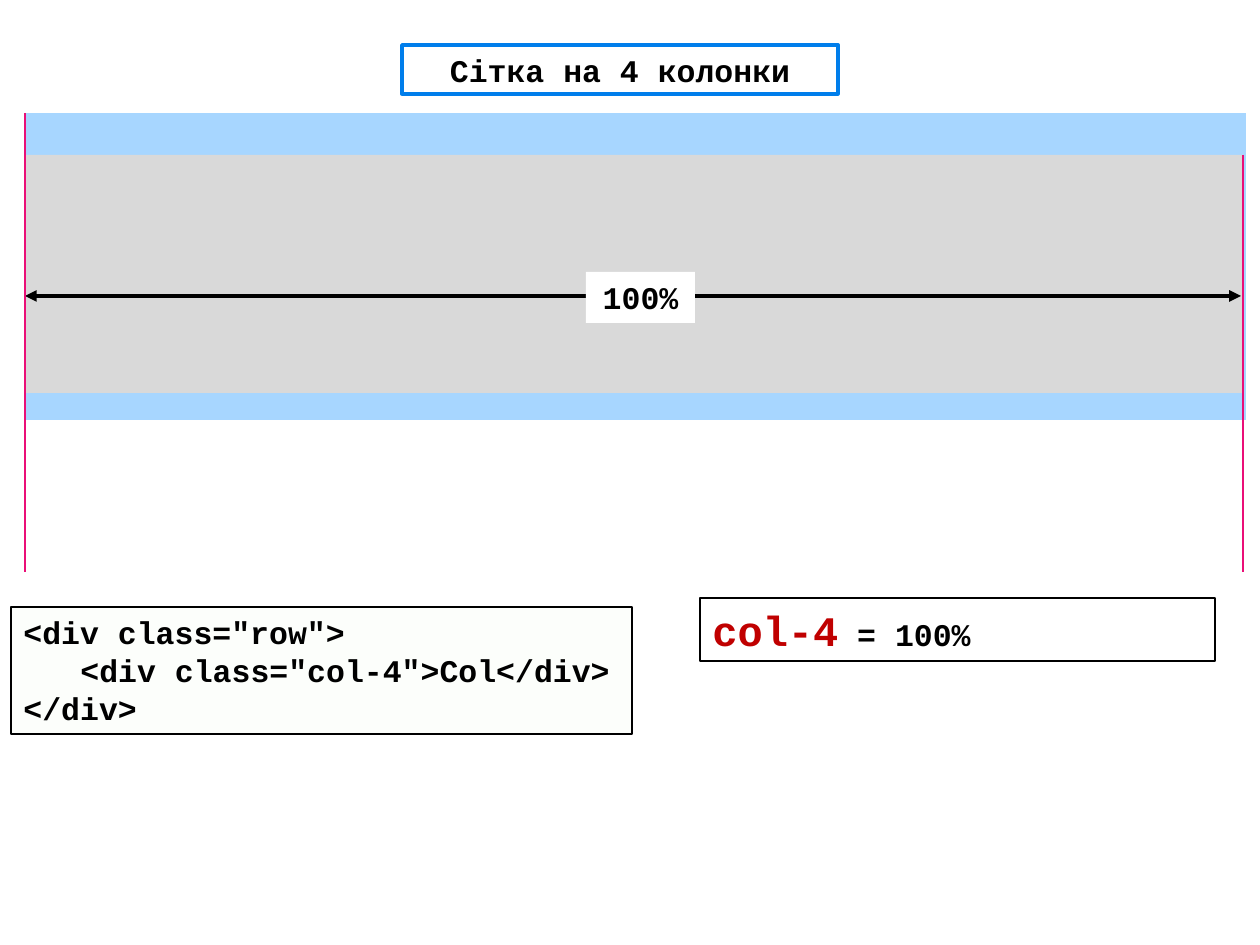
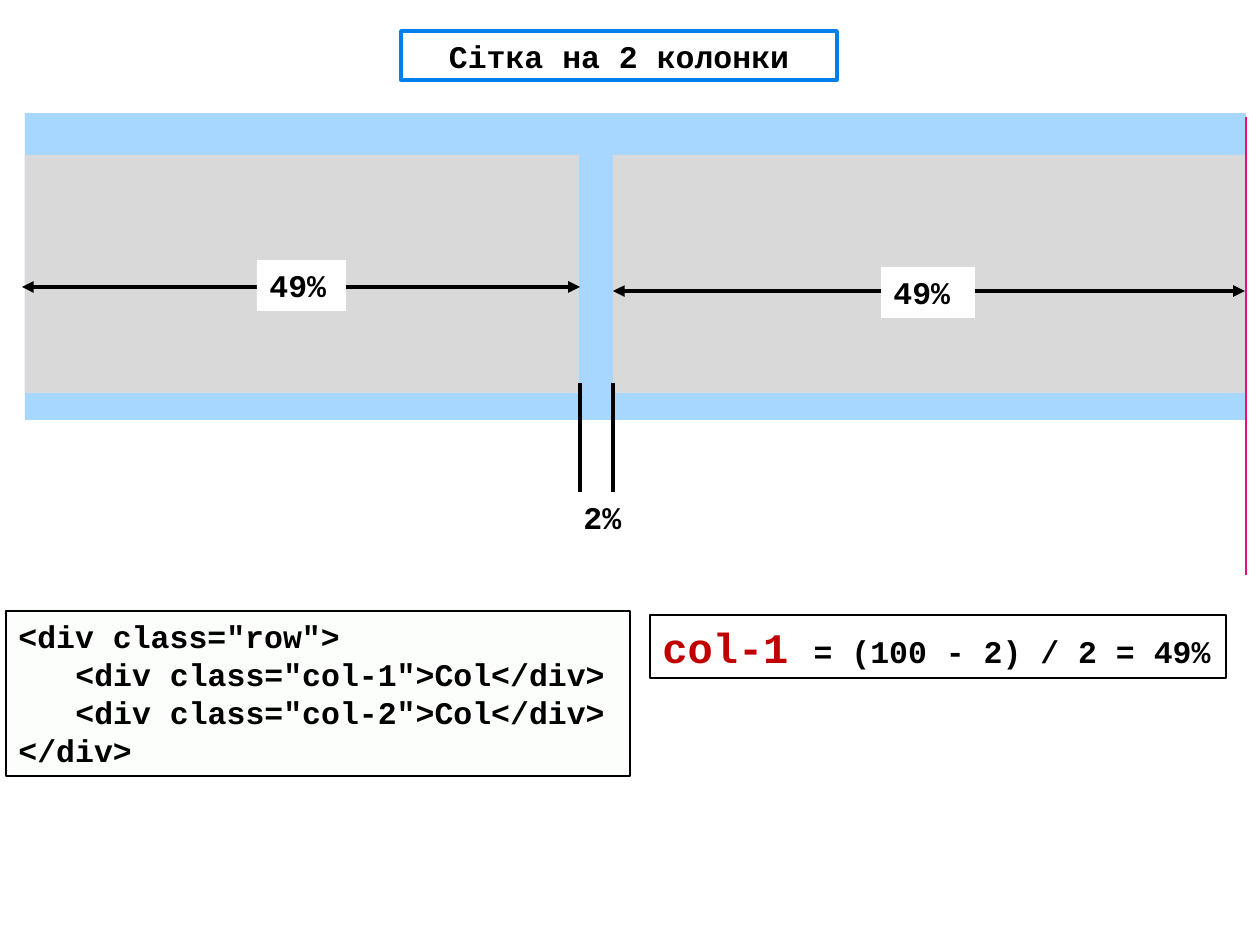
import pptx
import pptx.util
import pptx.dml.color
import pptx.enum.shapes
import pptx.enum.text
import pptx.oxml
import pptx.oxml.ns

COLORS = {
    "ink": "000000", "paper": "FFFFFF", "code": "E5F6D8", "row": "A7D6FF",
    "col": "D9D9D9", "edge": "EA0F77", "title": "007EEB", "key": "C00000",
}
ALIGN = pptx.enum.text.PP_ALIGN
ANCHOR = pptx.enum.text.MSO_ANCHOR
RECT = pptx.enum.shapes.MSO_SHAPE.RECTANGLE
LINE = pptx.enum.shapes.MSO_CONNECTOR.STRAIGHT
GROW = pptx.enum.text.MSO_AUTO_SIZE.SHAPE_TO_FIT_TEXT

LEFT, RIGHT = 25, 1246
ROW_TOP, ROW_TALL = 113, 307
COL_TOP, COL_TALL = 155, 238
INDENT = 57


def px(num):
    """Turn pixels into EMU."""
    return pptx.util.Emu(round(num * 914400 / 126))


def tint(name):
    """Give a named colour."""
    return pptx.dml.color.RGBColor.from_string(COLORS[name])


def node(parent, tag, **attrs):
    """Append a drawing element to parent."""
    child = pptx.oxml.parse_xml(f"<a:{tag} {pptx.oxml.ns.nsdecls('a')}/>")
    for key, val in attrs.items():
        child.set(key, val)
    parent.append(child)


class Deck:
    """Holds the style and the current slide."""

    face = "Courier New"

    def __init__(self):
        """Start an empty deck."""
        self.show = pptx.Presentation()
        self.show.slide_width, self.show.slide_height = px(1260), px(945)
        self.slide = None

    def page(self):
        """Add a blank slide."""
        self.slide = self.show.slides.add_slide(self.show.slide_layouts[6])

    def font(self, font, size=18, color="ink"):
        """Style a font."""
        font.name, font.size, font.bold = self.face, pptx.util.Pt(size), True
        font.color.rgb = tint(color)

    def box(self, x, y, wide, tall, fill=None, line=None, weight=0.75):
        """Draw a rectangle."""
        box = self.slide.shapes.add_shape(RECT, px(x), px(y), px(wide), px(tall))
        box.shadow.inherit = False
        if fill:
            box.fill.solid()
            box.fill.fore_color.rgb = tint(fill)
        else:
            box.fill.background()
        if line:
            box.line.color.rgb = tint(line)
            box.line.width = pptx.util.Pt(weight)
        else:
            box.line.fill.background()
        return box

    def text(self, box, lines, align=ALIGN.LEFT, anchor=ANCHOR.TOP, grow=True):
        """Write lines into a box."""
        frame = box.text_frame
        frame.word_wrap, frame.vertical_anchor = True, anchor
        if grow:
            frame.auto_size = GROW
        for num, line in enumerate(lines):
            para = frame.add_paragraph() if num else frame.paragraphs[0]
            para.text, para.alignment = line, align
            self.font(para.font)
        return frame

    def line(self, x1, y1, x2, y2, color="ink", weight=2.25, heads=False):
        """Draw a line, with heads at both ends if asked."""
        line = self.slide.shapes.add_connector(LINE, px(x1), px(y1), px(x2), px(y2))
        line.line.color.rgb = tint(color)
        line.line.width = pptx.util.Pt(weight)
        if heads:
            for tag in ("headEnd", "tailEnd"):
                node(line.line._get_or_add_ln(), tag, type="triangle")
        node(line._element.spPr, "effectLst")
        return line

    def group(self, *parts):
        """Group parts."""
        self.slide.shapes.add_group_shape(parts)

    def title(self, x, y, words):
        """Draw the framed title."""
        box = self.box(x, y, 436, 49, "paper", "title", 2)
        self.text(box, [words], ALIGN.CENTER, ANCHOR.MIDDLE, grow=False)

    def code(self, x, y, wide, tall, cols):
        """Draw the markup of a row with its columns."""
        box = self.box(x, y, wide, tall, "code", "ink", 1.5)
        node(box.fill._xPr.solidFill[0], "alpha", val="8000")
        inner = [f'<div class="{col}">Col</div>' for col in cols]
        frame = self.text(box, ['<div class="row">', *inner, "</div>"])
        for para in frame.paragraphs[1:-1]:
            para._p.get_or_add_pPr().set("marL", str(px(INDENT)))

    def row(self, cols):
        """Draw the row band."""
        self.box(LEFT, ROW_TOP, RIGHT - LEFT, ROW_TALL, "row")
        for x, wide in cols:
            self.box(x, COL_TOP, wide, COL_TALL, "col")

    def span(self, x1, x2, y, label, at, align=ALIGN.LEFT):
        """Draw a width arrow with its label."""
        line = self.line(x1, y, x2, y, heads=True)
        box = self.box(*at, 51, "paper")
        self.text(box, [label], align)
        self.group(line, box)

    def gap(self, x1, x2, label):
        """Mark the gap between two columns."""
        marks = [self.line(x, 383, x, 492) for x in (x1, x2)]
        note = self.slide.shapes.add_textbox(px(571), px(492), px(63), px(51))
        self.text(note, [label]).word_wrap = False
        self.group(*marks, note)

    def edge(self, x, top, end):
        """Draw a thin edge line."""
        self.line(x, top, x, end, "edge", 0.75)

    def rule(self, x, y, wide, key, rest):
        """Draw the formula of a column width."""
        box = self.box(x, y, wide, 63, line="ink")
        para = self.text(box, [""]).paragraphs[0]
        for words, size, color in ((key, 24, "key"), (rest, 18, "ink")):
            run = para.add_run()
            run.text = words
            self.font(run.font, size, color)


def whole(deck):
    """Build the slide with one full column."""
    deck.page()
    deck.code(11, 607, 621, 127, ["col-4"])
    deck.row([(LEFT, 1218)])
    deck.span(LEFT, 1241, 296, "100%", (586, 272, 109), ALIGN.CENTER)
    deck.edge(LEFT, ROW_TOP, 572)
    deck.edge(1243, COL_TOP, 572)
    deck.title(402, 45, "Сітка на 4 колонки")
    deck.rule(700, 598, 515, "col-4", " = 100%")


def halves(deck):
    """Build the slide with two columns."""
    deck.page()
    deck.code(6, 611, 624, 165, ["col-1", "col-2"])
    deck.row([(LEFT, 554), (613, RIGHT - 613)])
    deck.span(22, 580, 287, "49%", (257, 260, 89))
    deck.gap(580, 613, "2%")
    deck.span(613, 1245, 291, "49%", (881, 267, 94))
    deck.edge(RIGHT, 117, 575)
    deck.rule(650, 615, 576, "сol-1 ", "= (100 - 2) / 2 = 49%")
    deck.title(401, 31, "Сітка на 2 колонки")


deck = Deck()
whole(deck)
halves(deck)
deck.show.save("out.pptx")
